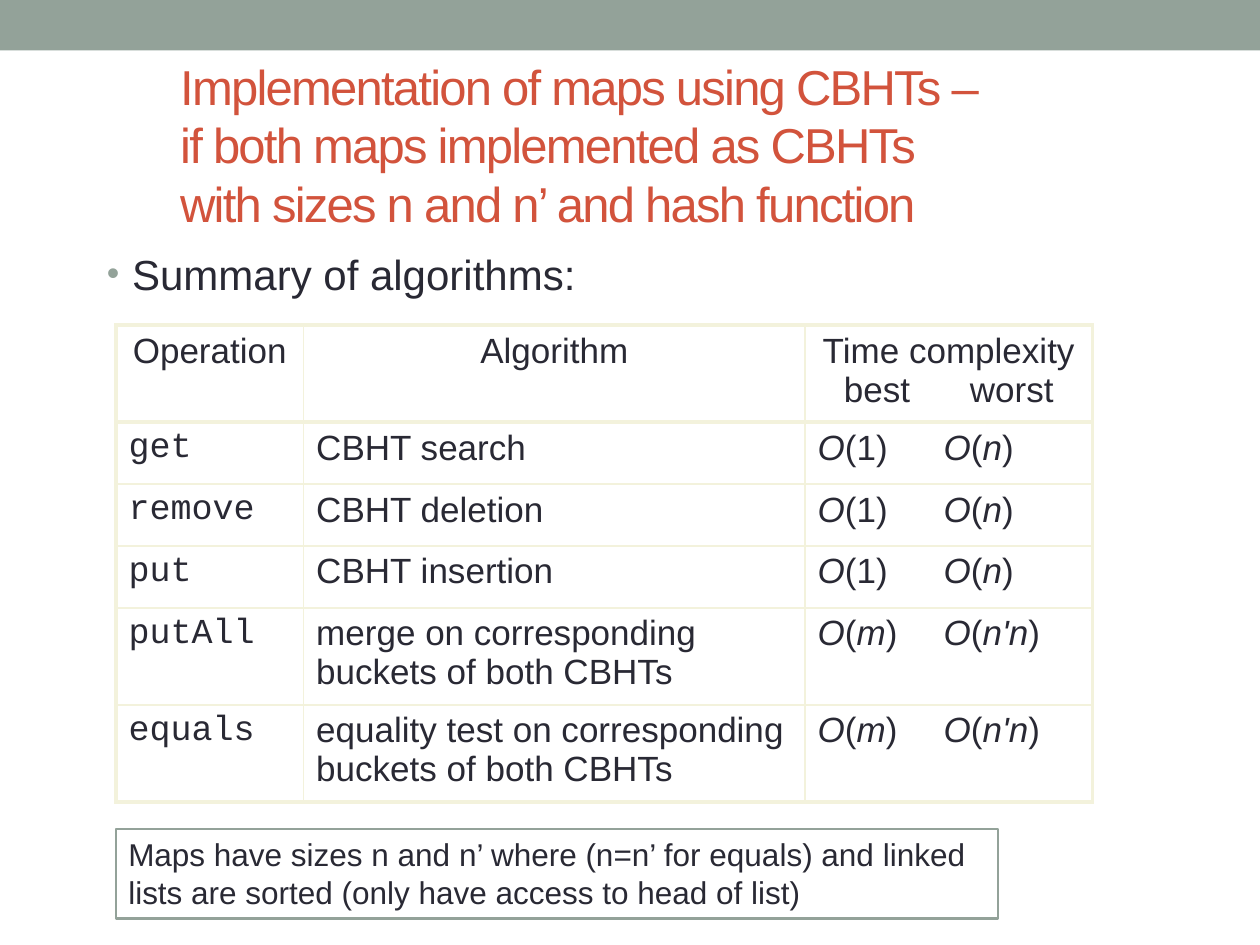
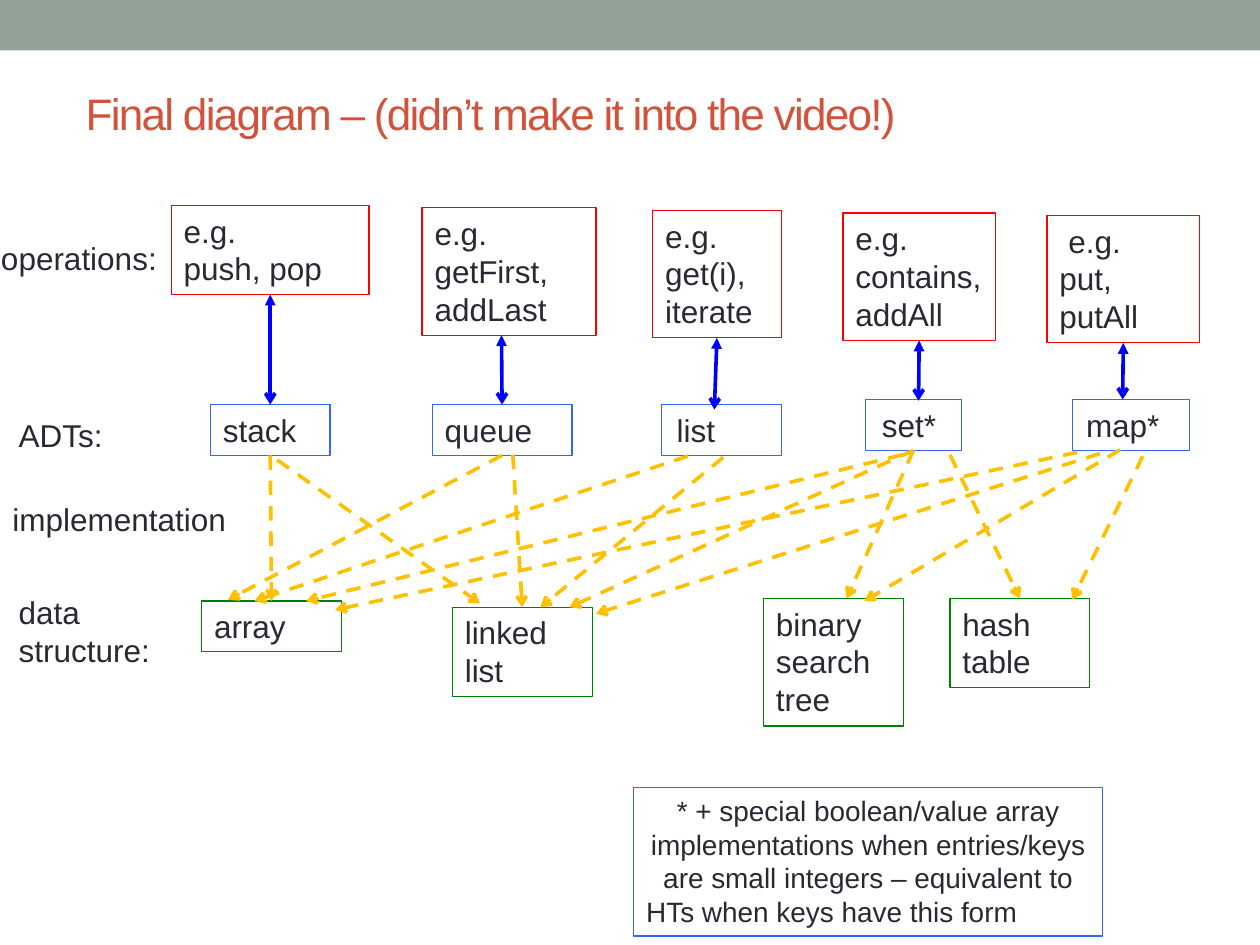
from dataclasses import dataclass
from itertools import groupby

from lxml.etree import SubElement
from pptx import Presentation
from pptx.dml.color import RGBColor as Rgb
from pptx.enum.dml import MSO_LINE_DASH_STYLE as Dash
from pptx.enum.shapes import MSO_CONNECTOR as Connector, MSO_SHAPE as Preset
from pptx.enum.text import MSO_ANCHOR as Anchor, PP_ALIGN as Align
from pptx.oxml.ns import qn
from pptx.util import Inches, Pt

TITLE_ONLY = 5
TOP, BOTTOM = 0, 2


@dataclass(frozen=True)
class Theme:
    font: str = "Arial"
    code_font: str = "Courier New"
    ink: str = "292934"
    title: str = "D2533C"
    band: str = "93A299"
    paper: str = "FFFFFF"
    rule: str = "F3F2DC"
    operation: str = "FF0000"
    adt: str = "3366FF"
    structure: str = "008000"
    usage: str = "0000FF"
    implementation: str = "FFC000"
    title_size: float = 28
    small_title_size: float = 25.2
    lead_size: float = 24
    table_size: float = 20
    label_size: float = 18
    remark_size: float = 16
    outer_rule: float = 2.25
    inner_rule: float = 1
    arrow_width: float = 2.08


class Deck:
    COLUMNS, ROWS = 100, 75

    def __init__(self, theme):
        self.theme = theme
        self.show = Presentation()
        self.show.slide_width, self.show.slide_height = Inches(10), Inches(7.5)
        self.slide = None

    def x(self, columns):
        return round(self.show.slide_width * columns / self.COLUMNS)

    def y(self, rows):
        return round(self.show.slide_height * rows / self.ROWS)

    def area(self, left, top, width, height):
        return self.x(left), self.y(top), self.x(width), self.y(height)

    def style(self, paragraph, size, color=None, font=None, align=Align.LEFT):
        paragraph.alignment = align
        paragraph.font.size = Pt(size)
        paragraph.font.name = font or self.theme.font
        paragraph.font.color.rgb = Rgb.from_string(color or self.theme.ink)

    def set_lines(self, frame, lines, size, aligns=(Align.LEFT,)):
        frame.word_wrap = True
        frame.vertical_anchor = Anchor.TOP
        frame.text = "\n".join(lines)
        for index, paragraph in enumerate(frame.paragraphs):
            self.style(paragraph, size, align=aligns[index % len(aligns)])

    def start(self, title, left, top, size):
        self.slide = self.show.slides.add_slide(self.show.slide_layouts[TITLE_ONLY])
        band = self.slide.shapes.add_shape(Preset.RECTANGLE, *self.area(0, 0, self.COLUMNS, 4))
        band.shadow.inherit = False
        band.fill.solid()
        band.fill.fore_color.rgb = Rgb.from_string(self.theme.band)
        band.line.fill.background()
        heading = self.slide.shapes.title
        heading.left, heading.top, heading.width, heading.height = self.area(left, top, 67.2, 7.9)
        frame = heading.text_frame
        frame.text = title
        frame.word_wrap = True
        frame.vertical_anchor = Anchor.MIDDLE
        self.style(frame.paragraphs[0], size, self.theme.title)
        frame.paragraphs[0].runs[0]._r.get_or_add_rPr().set("spc", "-100")

    def label(self, text, left, top, width, height):
        box = self.slide.shapes.add_textbox(*self.area(left, top, width, height))
        self.set_lines(box.text_frame, [text], self.theme.label_size)

    def bullet(self, text, left, top, width, height):
        box = self.slide.shapes.add_textbox(*self.area(left, top, width, height))
        frame = box.text_frame
        frame.word_wrap = True
        paragraph = frame.paragraphs[0]
        paragraph.text = text
        properties = paragraph._p.get_or_add_pPr()
        properties.set("marL", str(self.x(2)))
        properties.set("indent", str(-self.x(2)))
        color = SubElement(properties, qn("a:buClr"))
        SubElement(color, qn("a:srgbClr"), val=self.theme.band)
        SubElement(properties, qn("a:buSzPct"), val="85000")
        SubElement(properties, qn("a:buFont"), typeface=self.theme.font)
        SubElement(properties, qn("a:buChar"), char="•")
        self.style(paragraph, self.theme.lead_size)

    def box(self, lines, left, top, width, height, outline, size=None,
            weight=0.75, aligns=(Align.LEFT,)):
        shape = self.slide.shapes.add_shape(
            Preset.RECTANGLE, *self.area(left, top, width, height))
        shape.shadow.inherit = False
        shape.fill.background()
        shape.line.color.rgb = Rgb.from_string(outline)
        shape.line.width = Pt(weight)
        self.set_lines(shape.text_frame, lines, size or self.theme.label_size, aligns)
        return shape

    def arrow(self, start, end, color, dashed=False, two_way=False):
        points = [spot if isinstance(spot, tuple) else (0, 0) for spot in (start, end)]
        (x1, y1), (x2, y2) = points
        line = self.slide.shapes.add_connector(
            Connector.STRAIGHT, self.x(x1), self.y(y1), self.x(x2), self.y(y2))
        if not isinstance(start, tuple):
            line.begin_connect(start, BOTTOM)
        if not isinstance(end, tuple):
            line.end_connect(end, TOP)
        line.line.color.rgb = Rgb.from_string(color)
        line.line.width = Pt(self.theme.arrow_width)
        if dashed:
            line.line.dash_style = Dash.DASH
        properties = line._element.spPr
        stroke = properties.find(qn("a:ln"))
        if two_way:
            SubElement(stroke, qn("a:headEnd"), type="triangle")
        SubElement(stroke, qn("a:tailEnd"), type="arrow")
        SubElement(properties, qn("a:effectLst"))

    def borders(self, cell, weights):
        properties = cell._tc.get_or_add_tcPr()
        for place, (side, weight) in enumerate(zip("LRTB", weights)):
            edge = SubElement(properties, qn(f"a:ln{side}"), w=str(Pt(weight)))
            fill = SubElement(edge, qn("a:solidFill"))
            SubElement(fill, qn("a:srgbClr"), val=self.theme.rule)
            properties.insert(place, edge)

    def table(self, rows, left, top, widths, heights):
        frame = self.slide.shapes.add_table(
            len(rows), len(widths), *self.area(left, top, sum(widths), sum(heights)))
        grid = frame.table
        grid.first_row = grid.horz_banding = False
        for column, width in zip(grid.columns, widths):
            column.width = self.x(width)
        for row, height in zip(grid.rows, heights):
            row.height = self.y(height)
        last_row, last_column = len(rows) - 1, len(widths) - 1
        for r, texts in enumerate(rows):
            for c, text in enumerate(texts):
                cell = grid.cell(r, c)
                cell.fill.solid()
                cell.fill.fore_color.rgb = Rgb.from_string(self.theme.paper)
                heavy = (c == 0, c == last_column, r <= 1, r in (0, last_row))
                self.borders(cell, [self.theme.outer_rule if edge else self.theme.inner_rule
                                    for edge in heavy])
                self.fill_cell(cell, text, header=r == 0, code=r > 0 and c == 0,
                               formula=r > 0 and c == last_column)

    def fill_cell(self, cell, text, header, code, formula):
        paragraph = cell.text_frame.paragraphs[0]
        if "\t" in text:
            tabs = SubElement(paragraph._p.get_or_add_pPr(), qn("a:tabLst"))
            SubElement(tabs, qn("a:tab"), pos=str(self.x(10)), algn="l")
        if formula:
            for variable, part in groupby(text, lambda sign: sign.isalpha() or sign == "'"):
                run = paragraph.add_run()
                run.text = "".join(part)
                run.font.italic = variable
        else:
            paragraph.text = text
        self.style(paragraph, self.theme.table_size,
                   font=self.theme.code_font if code else None,
                   align=Align.CENTER if header else Align.LEFT)


def complexity_slide(deck):
    theme = deck.theme
    deck.start("Implementation of maps using CBHTs – if both maps implemented as CBHTs "
               "with sizes n and n’ and hash function", 13.3, 7.5, theme.title_size)
    deck.bullet("Summary of algorithms:", 7.5, 19.2, 78.8, 5)
    operations = [
        ("Operation", "Algorithm", "Time complexity\vbest\tworst"),
        ("get", "CBHT search", "O(1)\tO(n)"),
        ("remove", "CBHT deletion", "O(1)\tO(n)"),
        ("put", "CBHT insertion", "O(1)\tO(n)"),
        ("putAll", "merge on corresponding buckets of both CBHTs", "O(m)\tO(n'n)"),
        ("equals", "equality test on corresponding buckets of both CBHTs", "O(m)\tO(n'n)"),
    ]
    tall, short = 7.7, 4.92
    deck.table(operations, 9.2, 25.8, (14.9, 39.8, 22.8),
               (tall, short, short, short, tall, tall))
    deck.box(["Maps have sizes n and n’ where (n=n’ for equals) and linked lists are sorted "
              "(only have access to head of list)"], 9.2, 65.8, 70, 7.1, theme.band, weight=1.5)


def box_height(line_count):
    return 1 + 3.04 * line_count


def diagram_slide(deck):
    theme = deck.theme
    deck.start("Final diagram – (didn’t make it into the video!)", 5.8, 5, theme.small_title_size)

    operations = [
        (["e.g.", "push, pop"], 2, 13.6, 15.7),
        (["e.g.", "getFirst, addLast"], 3, 33.5, 13.8),
        (["e.g.", "get(i),", "iterate"], 3, 51.8, 10.2),
        (["e.g.", "contains, addAll"], 3, 66.9, 12.1),
        (["e.g.", "put, putAll"], 3, 83.1, 12.1),
    ]
    examples = [
        deck.box(lines, left, 16.3 + 0.2 * index, width, box_height(count), theme.operation)
        for index, (lines, count, left, width) in enumerate(operations)]
    examples[-1].text_frame.paragraphs[0]._p.get_or_add_pPr().set("indent", str(deck.x(0.7)))

    stack, queue, list_adt, set_adt, map_adt = [
        deck.box([name], left, top, width, box_height(1), theme.adt)
        for name, left, top, width in (
            ("stack", 16.7, 32.1, 9.5), ("queue", 34.3, 32.1, 11.1), ("list", 52.5, 32.1, 9.5),
            ("set*", 68.7, 31.7, 7.6), ("map*", 85.1, 31.7, 9.3))]
    for adt, inset in ((list_adt, 1.2), (set_adt, 1.3), (map_adt, 1.1)):
        adt.text_frame.margin_left = deck.x(inset)
        adt.text_frame.margin_right = 0

    array, linked_list, search_tree, hash_table = [
        deck.box([name], left, top, 11.1, box_height(count), theme.structure)
        for name, count, left, top in (
            ("array", 1, 16, 47.7), ("linked list", 2, 35.9, 48.2),
            ("binary search tree", 3, 60.6, 47.5), ("hash table", 2, 75.4, 47.5))]

    for start, end in (
            (examples[0], stack), ((39.8, 26.6), queue), (examples[2], (56.7, 32.5)),
            (examples[3], (72.9, 31.8)), (examples[4], (89.1, 31.7))):
        deck.arrow(start, end, theme.usage, two_way=True)

    for start, end in (
            (stack, array), ((22, 36.5), (38.1, 47.9)),
            (queue, (18.1, 47.6)), ((40.7, 36.1), linked_list),
            ((54.6, 36.2), (20.2, 47.7)), ((57.4, 36.3), (42.9, 48.2)),
            ((71.6, 36.1), (24.3, 47.7)), (set_adt, (45.2, 48.2)),
            (set_adt, (67.2, 47.5)), ((75.4, 36.1), hash_table),
            ((85.5, 35.9), (26.6, 48.4)), ((87.3, 36), (47.3, 48.7)),
            ((88.9, 35.7), (68.6, 47.7)), ((90.7, 36.2), (85.1, 47.6))):
        deck.arrow(start, end, theme.implementation, dashed=True)

    for text, left, top, width, count in (
            ("operations:", -0.9, 18.5, 15.7, 1), ("ADTs:", 0.5, 32.5, 13.3, 1),
            ("implementation", 0, 39.2, 22.3, 1), ("data structure:", 0.5, 46.6, 15.7, 2)):
        deck.label(text, left, top, width, box_height(count))

    deck.box(["* + special boolean/value array implementations when entries/keys are small "
              "integers – equivalent to", "HTs when keys have this form"],
             50.3, 62.5, 37.2, 11.8, theme.adt, theme.remark_size,
             aligns=(Align.CENTER, Align.LEFT))


def main():
    deck = Deck(Theme())
    complexity_slide(deck)
    diagram_slide(deck)
    deck.show.save("out.pptx")


if __name__ == "__main__":
    main()
